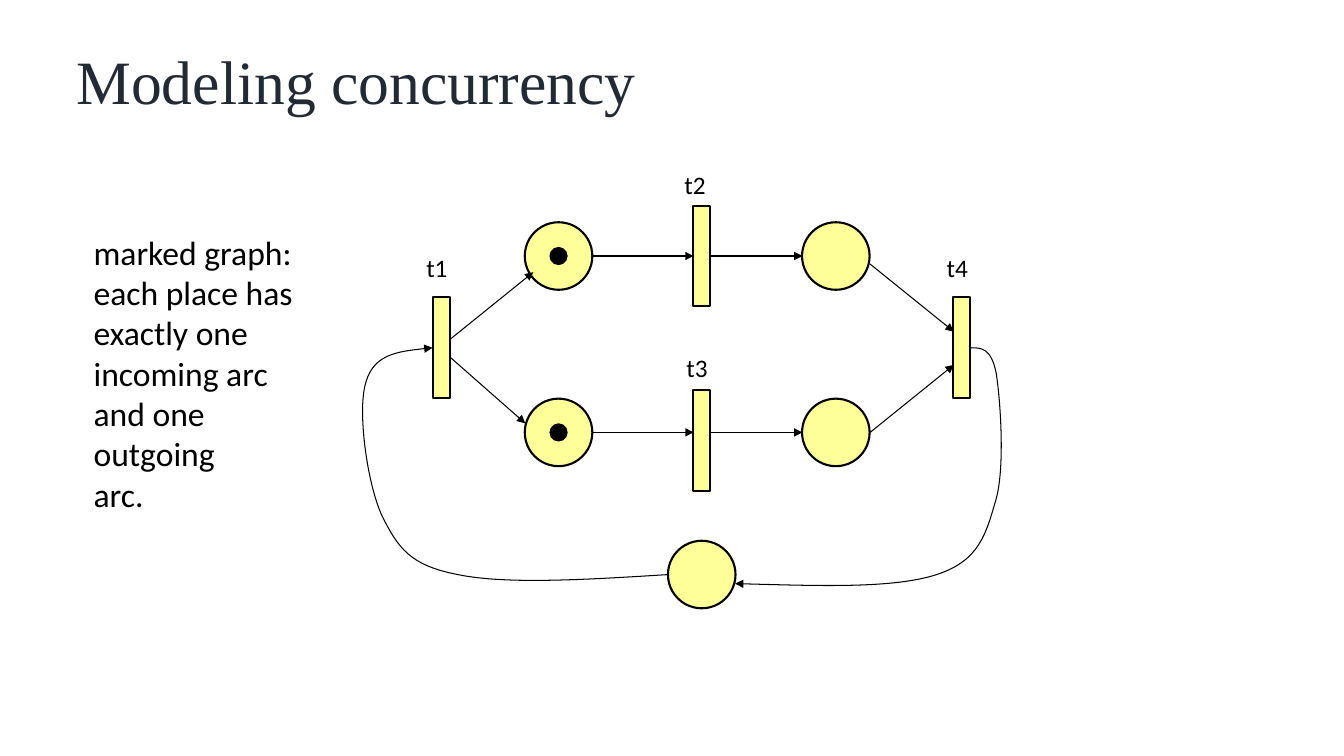
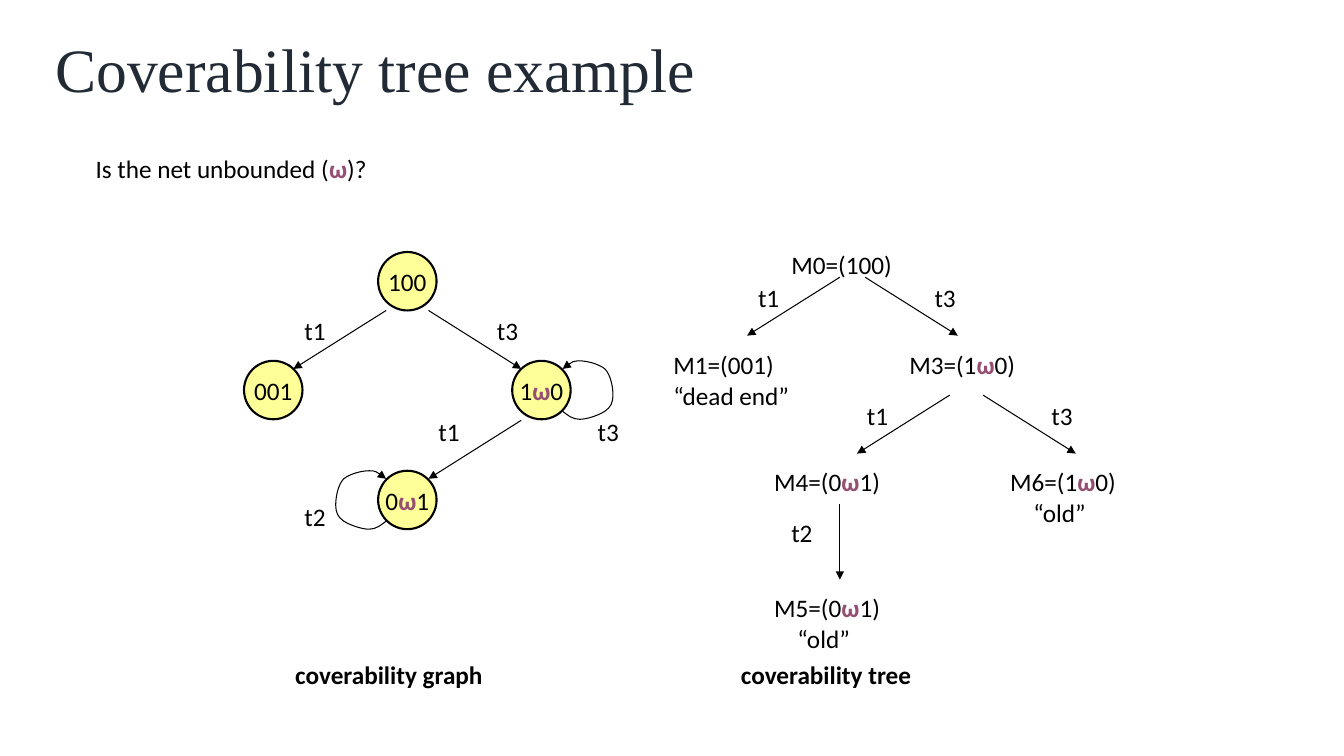
from dataclasses import dataclass
from itertools import groupby

from pptx import Presentation
from pptx import util as u
from pptx.dml.color import RGBColor
from pptx.enum import shapes, text
from pptx.oxml import ns, xmlchemy

Inches = u.Inches


@dataclass(frozen=True)
class Theme:
    ink: str = "000000"
    title: str = "222A35"
    node: str = "FFFF99"
    omega: str = "954F72"
    title_font: str = "Times New Roman"
    body_font: str = "Calibri"
    title_size: float = 44
    note_size: float = 24
    label_size: float = 18
    outline: float = 1.5
    thin: float = 0.75


class Deck:
    """Holds the presentation, its theme and the slide being drawn."""

    def __init__(self, theme):
        self.theme = theme
        self.prs = Presentation()
        self.prs.slide_width, self.prs.slide_height = Inches(13.33), Inches(7.5)
        self.s = None

    def new_slide(self, title, x, y, w, h):
        self.s = self.prs.slides.add_slide(self.prs.slide_layouts[6])
        t = self.theme
        self.text(title, x, y, w, h, wrap=True, anchor=text.MSO_ANCHOR.MIDDLE,
                  grow=False, spacing=0.9, size=t.title_size,
                  name=t.title_font, color=t.title)

    def fill_frame(self, tf, content, size=None, name=None, color=None,
                   bold=False, align=None, spacing=None, indent=0):
        """Fill a frame line by line; every ω is bold and coloured.

        The indent applies to the lines after the first.
        """
        t = self.theme
        for i, line in enumerate(content.split("\n")):
            p = tf.paragraphs[0] if i == 0 else tf.add_paragraph()
            p.alignment, p.line_spacing = align, spacing
            if i and indent:
                p._p.get_or_add_pPr().set("marL", str(Inches(indent)))
            for is_omega, chars in groupby(line, key=lambda c: c == "ω"):
                r = p.add_run()
                r.text = "".join(chars)
                font = {"name": name or t.body_font,
                        "size": u.Pt(size or t.label_size),
                        "bold": bold or is_omega}
                for key, value in font.items():
                    setattr(r.font, key, value)
                r.font.color.rgb = RGBColor.from_string(
                    t.omega if is_omega else color or t.ink)

    def text(self, content, x, y, w=0.41, h=0.4, wrap=False, grow=True,
             anchor=text.MSO_ANCHOR.TOP, **style):
        sp = self.s.shapes.add_textbox(*map(Inches, (x, y, w, h)))
        auto = text.MSO_AUTO_SIZE
        frame = {"word_wrap": wrap, "vertical_anchor": anchor,
                 "auto_size": auto.SHAPE_TO_FIT_TEXT if grow else auto.NONE}
        for key, value in frame.items():
            setattr(sp.text_frame, key, value)
        self.fill_frame(sp.text_frame, content, **style)

    def node(self, cx, cy, w, h, kind=shapes.MSO_SHAPE.OVAL, label="",
             fill=None, line=None):
        """Draw an outlined shape around its centre."""
        t = self.theme
        sp = self.s.shapes.add_shape(
            kind, *map(Inches, (cx - w / 2, cy - h / 2, w, h)))
        sp.shadow.inherit = False
        sp.fill.solid()
        sp.fill.fore_color.rgb = RGBColor.from_string(fill or t.node)
        self.stroke(sp, line or t.outline)
        if label:
            tf = sp.text_frame
            tf.word_wrap = False
            tf.vertical_anchor = text.MSO_ANCHOR.MIDDLE
            self.fill_frame(tf, label, align=text.PP_ALIGN.CENTER)

    def stroke(self, sp, width):
        sp.line.color.rgb = RGBColor.from_string(self.theme.ink)
        sp.line.width = u.Pt(width)

    def arrow_line(self, sp):
        self.stroke(sp, self.theme.thin)
        tail = xmlchemy.OxmlElement("a:tailEnd")
        tail.set("type", "triangle")
        sp._element.spPr.find(ns.qn("a:ln")).append(tail)

    def arrow(self, x1, y1, x2, y2):
        sp = self.s.shapes.add_connector(
            shapes.MSO_CONNECTOR.STRAIGHT, *map(Inches, (x1, y1, x2, y2)))
        self.arrow_line(sp)
        sp._element.spPr.append(xmlchemy.OxmlElement("a:effectLst"))

    def curve(self, start, *points):
        """Draw a curved arrow; each three points after the start make a Bézier."""
        builder = self.s.shapes.build_freeform(*map(Inches, start))
        builder.add_line_segments(
            [(Inches(x), Inches(y)) for x, y in points], close=False)
        sp = builder.convert_to_shape()
        segments = list(sp._element.iter(ns.qn("a:lnTo")))
        for i in range(0, len(segments), 3):
            bezier = xmlchemy.OxmlElement("a:cubicBezTo")
            segments[i].addprevious(bezier)
            for segment in segments[i:i + 3]:
                bezier.append(segment[0])
                segment.getparent().remove(segment)
        sp.shadow.inherit = False
        sp.fill.background()
        self.arrow_line(sp)

    def self_loop(self, x, y, side):
        """Loop from (x, y) back up to the same node; side is 1 right, -1 left."""
        offsets = [(0, 0), (0.05, 0.04), (0.1, 0.08), (0.17, 0.08),
                   (0.24, 0.08), (0.36, 0.04), (0.42, 0),
                   (0.48, -0.04), (0.5, -0.09), (0.5, -0.16),
                   (0.5, -0.23), (0.48, -0.36), (0.42, -0.42),
                   (0.36, -0.47), (0.24, -0.5), (0.17, -0.5),
                   (0.1, -0.5), (0.05, -0.46), (0, -0.42)]
        self.curve(*[(x + side * dx, y + dy) for dx, dy in offsets])


def concurrency_slide(d):
    d.new_slide("Modeling concurrency", 0.66, 0.42, 10.96, 0.83)
    left, middle, right = 5.54, 6.96, 8.29
    top, bottom = 2.54, 4.29
    place, token, bar = 0.67, 0.17, 0.17

    for y in (top, bottom):
        for x in (left, right):
            d.node(x, y, place, place)
        d.node(left, y, token, token, fill=d.theme.ink, line=d.theme.thin)
    d.node(middle, 5.7, place, place)

    transitions = [("t1", 4.38, 3.45, 4.13, 2.45),
                   ("t2", middle, top, 6.69, 1.63),
                   ("t3", middle, 4.37, 6.71, 3.45),
                   ("t4", 9.54, 3.45, 9.29, 2.45)]
    for name, cx, cy, x, y in transitions:
        d.node(cx, cy, bar, 1, kind=shapes.MSO_SHAPE.RECTANGLE)
        d.text(name, x, y)

    for y in (top, bottom):
        d.arrow(5.88, y, 6.88, y)
        d.arrow(7.04, y, 7.96, y)
    for ends in [(4.46, 3.37, 5.29, 2.7), (4.46, 3.54, 5.21, 4.2),
                 (8.63, 2.62, 9.46, 3.29), (8.63, 4.29, 9.46, 3.62)]:
        d.arrow(*ends)

    d.curve((9.63, 3.45), (9.73, 3.45), (9.83, 3.45), (9.88, 3.7),
            (9.92, 3.95), (9.97, 4.62), (9.88, 4.95),
            (9.78, 5.29), (9.72, 5.56), (9.29, 5.7),
            (8.86, 5.84), (8.08, 5.81), (7.29, 5.79))
    d.curve((6.63, 5.7), (5.82, 5.75), (5.02, 5.8), (4.54, 5.7),
            (4.07, 5.61), (3.95, 5.44), (3.79, 5.12),
            (3.64, 4.8), (3.54, 4.06), (3.63, 3.79),
            (3.71, 3.51), (4, 3.48), (4.29, 3.45))

    d.text("marked graph:\neach place has\nexactly one\nincoming arc\n"
           "and one\noutgoing\narc.",
           0.83, 2.25, 2.38, 2.93, wrap=True, size=d.theme.note_size)


def coverability_slide(d):
    d.new_slide("Coverability tree example", 0.45, 0.26, 11.09, 0.92)
    d.text("Is the net unbounded (ω)?", 0.85, 1.47, 4.55, wrap=True)

    state = 0.58
    for label, x, y in [("100", 4.04, 2.79), ("001", 2.71, 3.87),
                        ("1ω0", 5.37, 3.87), ("0ω1", 4.04, 4.96)]:
        d.node(x, y, state, state, label=label)
    d.self_loop(5.58, 4.08, 1)
    d.self_loop(3.83, 5.17, -1)

    for label, x, y, w, h in [("M0=(100)", 7.75, 2.42, 1.21, 0.4),
                              ("M3=(1ω0)", 8.92, 3.42, 1.26, 0.4),
                              ("M4=(0ω1)", 7.58, 4.58, 1.26, 0.4),
                              ("M1=(001)\n“dead end”", 6.58, 3.42, 1.37, 0.71)]:
        d.text(label, x, y, w, h)
    for label, x, y in [("M6=(1ω0)\n“old”", 9.92, 4.58),
                        ("M5=(0ω1)\n“old”", 7.58, 5.83)]:
        d.text(label, x, y, 1.26, 0.71, indent=0.23)

    run, drop = 0.92, 0.58
    for x, y, side in [(3.83, 3.08, -1), (4.25, 3.08, 1), (5.17, 4.17, -1),
                       (8.33, 2.75, -1), (8.58, 2.75, 1),
                       (9.42, 3.92, -1), (9.75, 3.92, 1)]:
        d.arrow(x, y, x + side * run, y + drop)
    d.arrow(8.33, 5, 8.33, 5.75)

    edge_labels = {
        "t1": [(2.92, 3.08), (4.25, 4.08), (7.42, 2.75), (8.5, 3.92)],
        "t2": [(2.92, 4.92), (7.75, 5.08)],
        "t3": [(4.83, 3.08), (5.83, 4.08), (9.17, 2.75), (10.33, 3.92)],
    }
    for name, spots in edge_labels.items():
        for x, y in spots:
            d.text(name, x, y)

    for caption, x, w in [("coverability graph", 2.83, 2.07),
                          ("coverability tree", 7.25, 1.9)]:
        d.text(caption, x, 6.49, w, bold=True)


def main():
    d = Deck(Theme())
    concurrency_slide(d)
    coverability_slide(d)
    d.prs.save("out.pptx")


if __name__ == "__main__":
    main()
